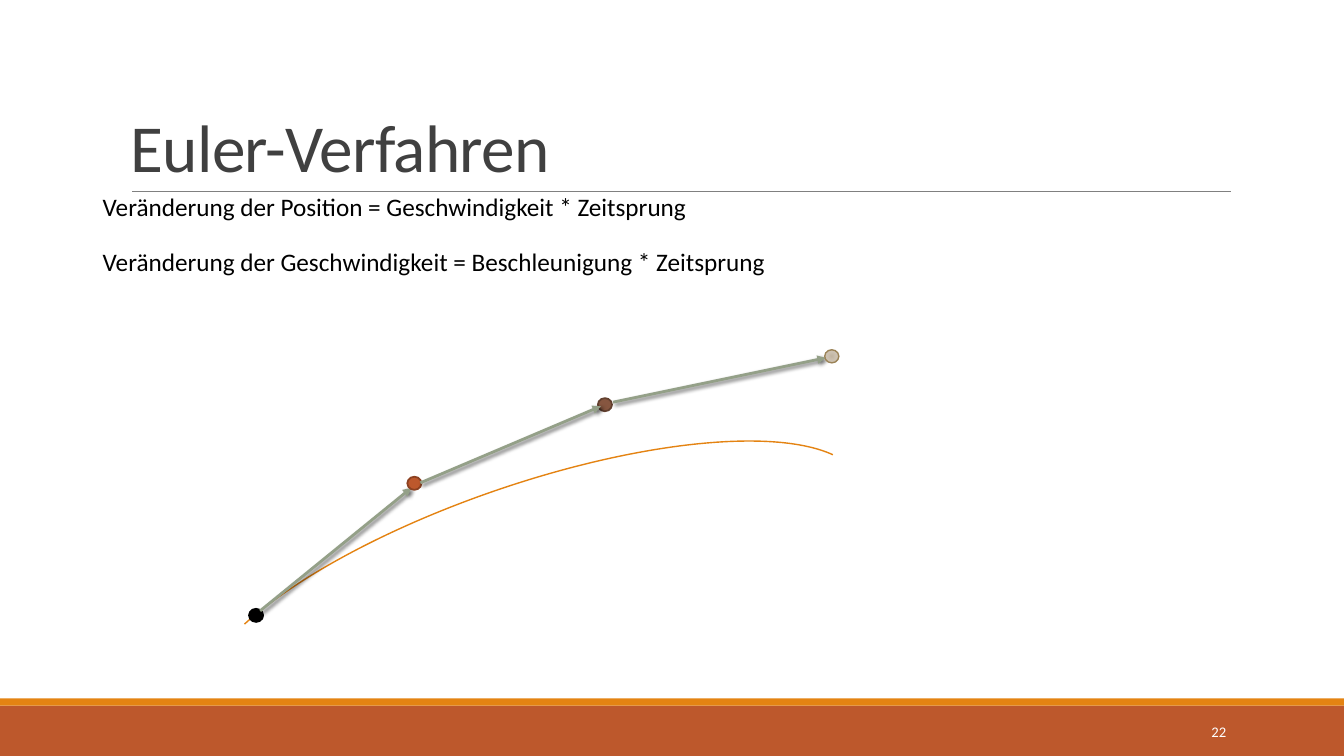
"""Build the slide on the Euler method with its stepwise path beside the true curve."""
from lxml.etree import SubElement
from pptx import Presentation
from pptx.dml.color import RGBColor
from pptx.enum.shapes import MSO_CONNECTOR, MSO_SHAPE
from pptx.enum.text import MSO_ANCHOR, PP_ALIGN
from pptx.oxml import parse_xml
from pptx.oxml.ns import nsdecls, qn
from pptx.util import Inches, Pt


def color(hex_code):
    return RGBColor.from_string(hex_code)


def add_text(box, text, size, hex_code, anchor=MSO_ANCHOR.TOP, align=PP_ALIGN.LEFT):
    frame = slide.shapes.add_textbox(*map(Inches, box)).text_frame
    frame.word_wrap = True
    frame.vertical_anchor = anchor
    paragraph = frame.paragraphs[0]
    paragraph.alignment = align
    run = paragraph.add_run()
    run.text = text
    for name, value in {"name": "Calibri", "size": Pt(size)}.items():
        setattr(run.font, name, value)
    run.font.color.rgb = color(hex_code)
    return paragraph


prs = Presentation()
prs.slide_width, prs.slide_height = Inches(13.33), Inches(7.5)
slide = prs.slides.add_slide(prs.slide_layouts[6])
shapes = slide.shapes

for top, height, fill in [(7, 0.5, "BD582C"), (6.93, 0.07, "E48312")]:
    band = shapes.add_shape(MSO_SHAPE.RECTANGLE, 0, Inches(top), prs.slide_width, Inches(height))
    band.shadow.inherit = False
    band.fill.solid()
    band.fill.fore_color.rgb = color(fill)
    band.line.fill.background()

title_rule = shapes.add_connector(MSO_CONNECTOR.STRAIGHT, *map(Inches, (1.31, 1.9, 12.21, 1.9)))
title_rule.line.color.rgb = color("808080")
title_rule.line.width = Pt(0.5)
SubElement(title_rule._element.spPr, qn("a:effectLst"))

title = add_text((1.2, 0.31, 11, 1.59), "Euler-Verfahren", 48, "404040", MSO_ANCHOR.BOTTOM)
title.line_spacing = 0.85
title.runs[0]._r.get_or_add_rPr().set("spc", "-50")
add_text((0.92, 1.85, 6.32, 0.4), "Veränderung der Position = Geschwindigkeit * Zeitsprung", 18, "000000")
add_text((0.92, 2.39, 7.09, 0.4), "Veränderung der Geschwindigkeit = Beschleunigung * Zeitsprung", 18, "000000")

true_curve = shapes.add_shape(MSO_SHAPE.ARC, *map(Inches, (1.8, 4.81, 6.93, 2.2)))
true_curve.adjustments[0] = 116.0
true_curve.adjustments[1] = 212.39
true_curve.rotation = 341
true_curve.shadow.inherit = False
true_curve.fill.background()
true_curve.line.color.rgb = color("E48312")
true_curve.line.width = Pt(1)

positions = [
    (2.47, 6.04, "000000", "000000", 1.25, [(2.58, 6.06, 4.08, 4.84)]),
    (4.04, 4.73, "BD582C", "8C4121", 1.25, []),
    (5.93, 3.95, "865640", "63402F", 1.25, [(4.17, 4.79, 5.96, 4.03), (6.08, 3.99, 8.19, 3.55)]),
    (8.18, 3.47, "CCC1B1", "9B8357", 1, []),
]
for left, top, fill, outline, width, steps in positions:
    position = shapes.add_shape(MSO_SHAPE.OVAL, *map(Inches, (left, top, 0.14, 0.13)))
    position.shadow.inherit = False
    position.fill.solid()
    position.fill.fore_color.rgb = color(fill)
    position.line.color.rgb = color(outline)
    position.line.width = Pt(width)
    for ends in steps:
        step = shapes.add_connector(MSO_CONNECTOR.STRAIGHT, *map(Inches, ends))
        step.line.color.rgb = color("94A088")
        step.line.width = Pt(2)
        SubElement(step.line._get_or_add_ln(), qn("a:tailEnd"), type="triangle")
        step._element.spPr.append(parse_xml(
            f'<a:effectLst {nsdecls("a")}><a:outerShdw blurRad="{Pt(3)}" dist="{Pt(2)}" dir="2700000">'
            '<a:srgbClr val="000000"><a:alpha val="60000"/></a:srgbClr></a:outerShdw></a:effectLst>'))

stops = "".join(f'<a:gs pos="{share * 1000}"><a:srgbClr val="{tone}"/></a:gs>'
                for share, tone in [(0, "C2B5A2"), (45, "CCC1B1"), (100, "D4C8B8")])
last_fill = position._element.spPr.find(qn("a:solidFill"))
last_fill.getparent().replace(last_fill, parse_xml(
    f'<a:gradFill {nsdecls("a")}><a:gsLst>{stops}</a:gsLst><a:path path="circle">'
    '<a:fillToRect l="100000" t="100000" r="100000" b="100000"/></a:path></a:gradFill>'))

add_text((10.83, 7.06, 1.43, 0.4), "22", 10.5, "FFFFFF", MSO_ANCHOR.MIDDLE, PP_ALIGN.RIGHT)

prs.save("out.pptx")
